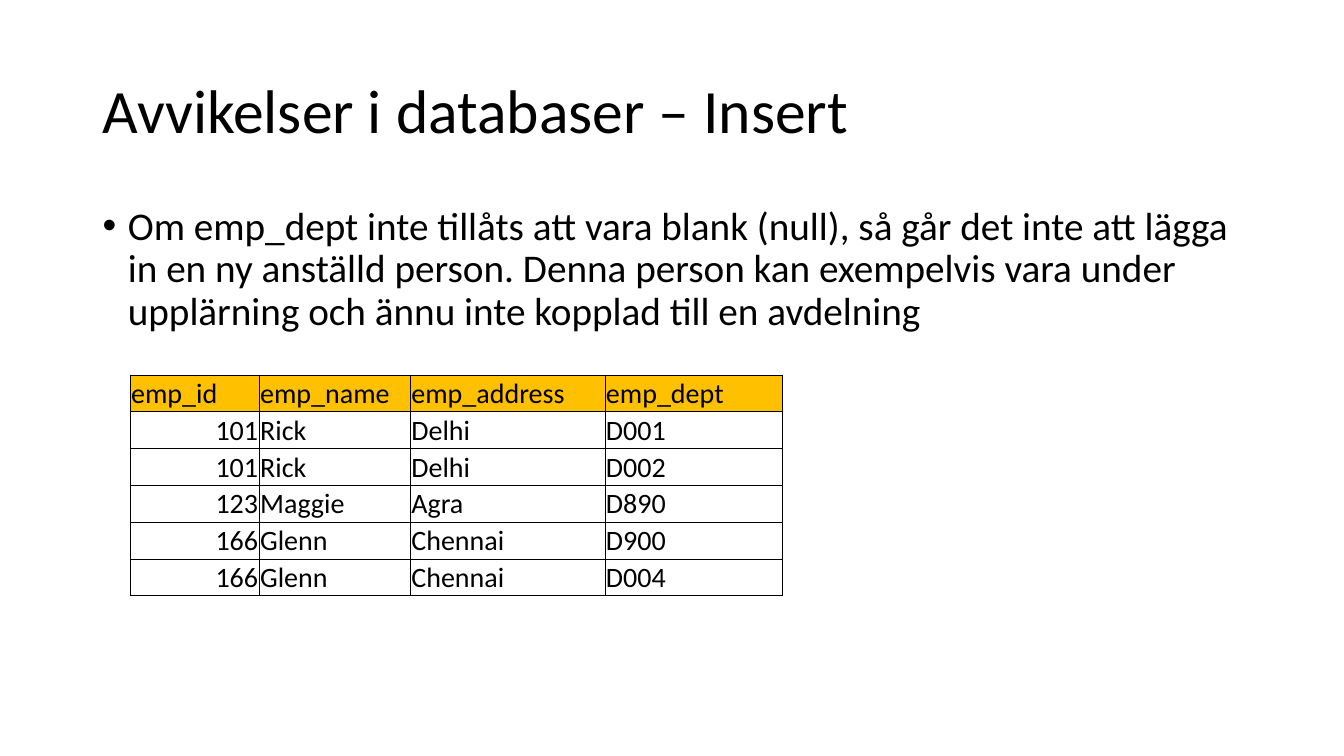
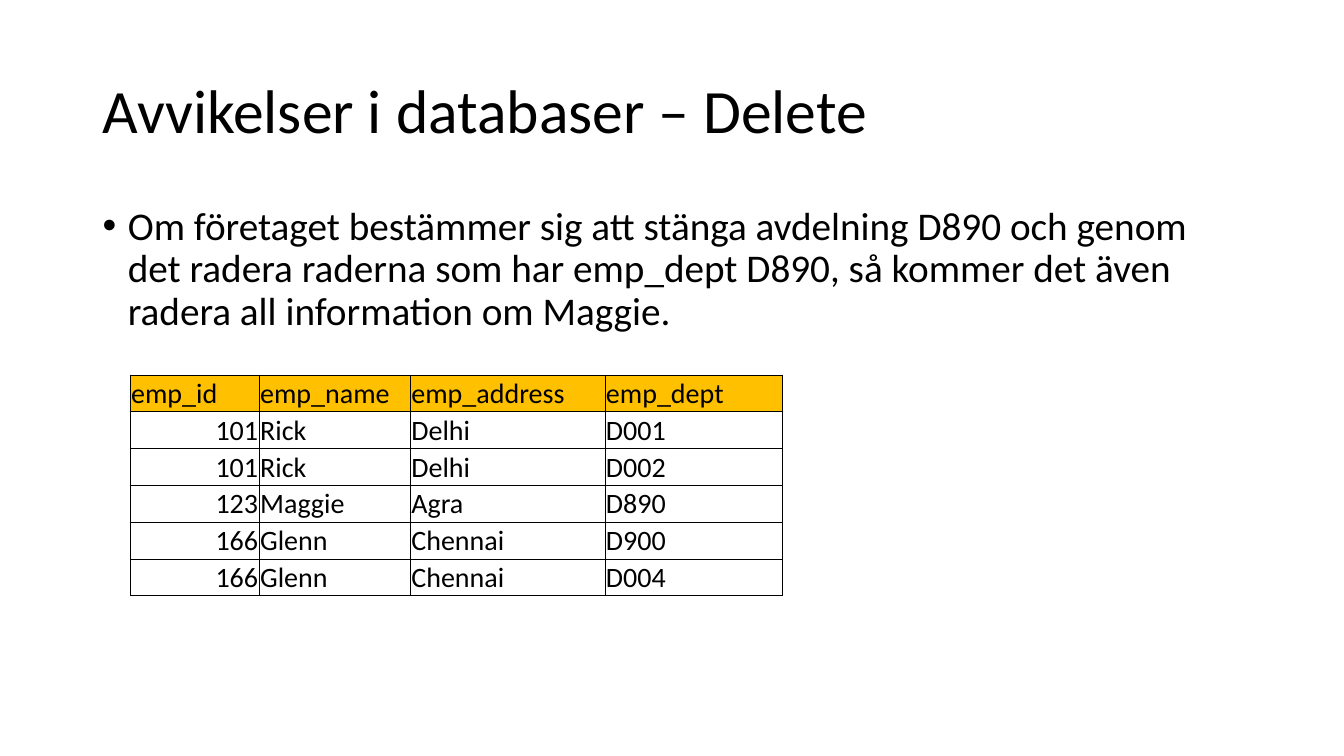
"""Build two slides on insert and delete anomalies in databases."""
import dataclasses

import lxml.etree
import pptx
import pptx.dml.color
import pptx.enum.text
import pptx.oxml.ns
import pptx.util

Inches = pptx.util.Inches
Pt = pptx.util.Pt
Align = pptx.enum.text.PP_ALIGN
Anchor = pptx.enum.text.MSO_ANCHOR
qn = pptx.oxml.ns.qn


@dataclasses.dataclass(frozen=True)
class Theme:
    font: str = "Calibri"
    ink: str = "000000"
    header_fill: str = "FFC000"
    title_size: int = 44
    body_size: int = 28
    table_size: int = 20
    border_width: float = 0.5
    line_spacing: float = 0.9


EMPLOYEES = [
    ("emp_id", "emp_name", "emp_address", "emp_dept"),
    ("101", "Rick", "Delhi", "D001"),
    ("101", "Rick", "Delhi", "D002"),
    ("123", "Maggie", "Agra", "D890"),
    ("166", "Glenn", "Chennai", "D900"),
    ("166", "Glenn", "Chennai", "D004"),
]
COLUMN_WIDTHS = (1.28, 1.5, 1.93, 1.76)

ANOMALIES = [
    ("Insert",
     "Om emp_dept inte tillåts att vara blank (null), så går det inte att lägga "
     "in en ny anställd person. Denna person kan exempelvis vara under "
     "upplärning och ännu inte kopplad till en avdelning"),
    ("Delete",
     "Om företaget bestämmer sig att stänga avdelning D890 och genom "
     "det radera raderna som har emp_dept D890, så kommer det även "
     "radera all information om Maggie."),
]


def color(value):
    return pptx.dml.color.RGBColor.from_string(value)


def format_text(frame, text, *, size, font, ink, align=Align.LEFT,
                line_spacing=None, bullet_indent=None):
    para = frame.paragraphs[0]
    para.alignment = align
    para.line_spacing = line_spacing
    if bullet_indent is not None:
        properties = para._p.get_or_add_pPr()
        properties.set("marL", str(bullet_indent))
        properties.set("indent", str(-bullet_indent))
        lxml.etree.SubElement(properties, qn("a:buFont"), typeface="Arial")
        lxml.etree.SubElement(properties, qn("a:buChar"), char="•")
    span = para.add_run()
    span.text = text
    span.font.size = Pt(size)
    span.font.name = font
    span.font.color.rgb = color(ink)


class SlideBuilder:
    def __init__(self, deck, theme):
        self.deck = deck
        self.theme = theme
        self.page = None

    def add_page(self):
        self.page = self.deck.slides.add_slide(self.deck.slide_layouts[6])

    def fill_frame(self, frame, text, size, **style):
        format_text(frame, text, size=size, font=self.theme.font,
                    ink=self.theme.ink, **style)

    def add_text(self, text, top, height, size, anchor, **style):
        box = self.page.shapes.add_textbox(
            Inches(0.92), Inches(top), Inches(11.5), Inches(height))
        box.text_frame.word_wrap = True
        box.text_frame.vertical_anchor = anchor
        self.fill_frame(box.text_frame, text, size,
                        line_spacing=self.theme.line_spacing, **style)

    def add_title(self, text):
        self.add_text(text, 0.4, 1.45, self.theme.title_size, Anchor.MIDDLE)

    def add_bullet(self, text):
        self.add_text(text, 2, 4.76, self.theme.body_size, Anchor.TOP,
                      bullet_indent=Inches(0.25))

    def add_borders(self, cell):
        properties = cell._tc.get_or_add_tcPr()
        for side in ("lnL", "lnR", "lnT", "lnB"):
            line = lxml.etree.SubElement(
                properties, qn(f"a:{side}"), w=str(Pt(self.theme.border_width)))
            fill = lxml.etree.SubElement(line, qn("a:solidFill"))
            lxml.etree.SubElement(fill, qn("a:srgbClr"), val=self.theme.ink)

    def add_cell(self, cell, text, is_header, align):
        self.add_borders(cell)
        if is_header:
            cell.fill.solid()
            cell.fill.fore_color.rgb = color(self.theme.header_fill)
        else:
            cell.fill.background()
        cell.margin_left = cell.margin_right = cell.margin_top = Inches(0.01)
        cell.margin_bottom = 0
        cell.vertical_anchor = Anchor.MIDDLE
        self.fill_frame(cell.text_frame, text, self.theme.table_size, align=align)

    def add_table(self, rows, widths):
        table = self.page.shapes.add_table(
            len(rows), len(widths), Inches(1.29), Inches(3.72),
            Inches(sum(widths)), Inches(2.19)).table
        table.first_row = False
        table.horz_banding = False
        for column, width in zip(table.columns, widths):
            column.width = Inches(width)
        for row_index, row in enumerate(rows):
            for column_index, text in enumerate(row):
                align = Align.RIGHT if text.isdigit() else Align.LEFT
                self.add_cell(table.cell(row_index, column_index), text,
                              row_index == 0, align)


def main():
    deck = pptx.Presentation()
    deck.slide_width = Inches(13.33)
    deck.slide_height = Inches(7.5)
    builder = SlideBuilder(deck, Theme())
    for operation, explanation in ANOMALIES:
        builder.add_page()
        builder.add_title(f"Avvikelser i databaser – {operation}")
        builder.add_bullet(explanation)
        builder.add_table(EMPLOYEES, COLUMN_WIDTHS)
    deck.save("out.pptx")


if __name__ == "__main__":
    main()
